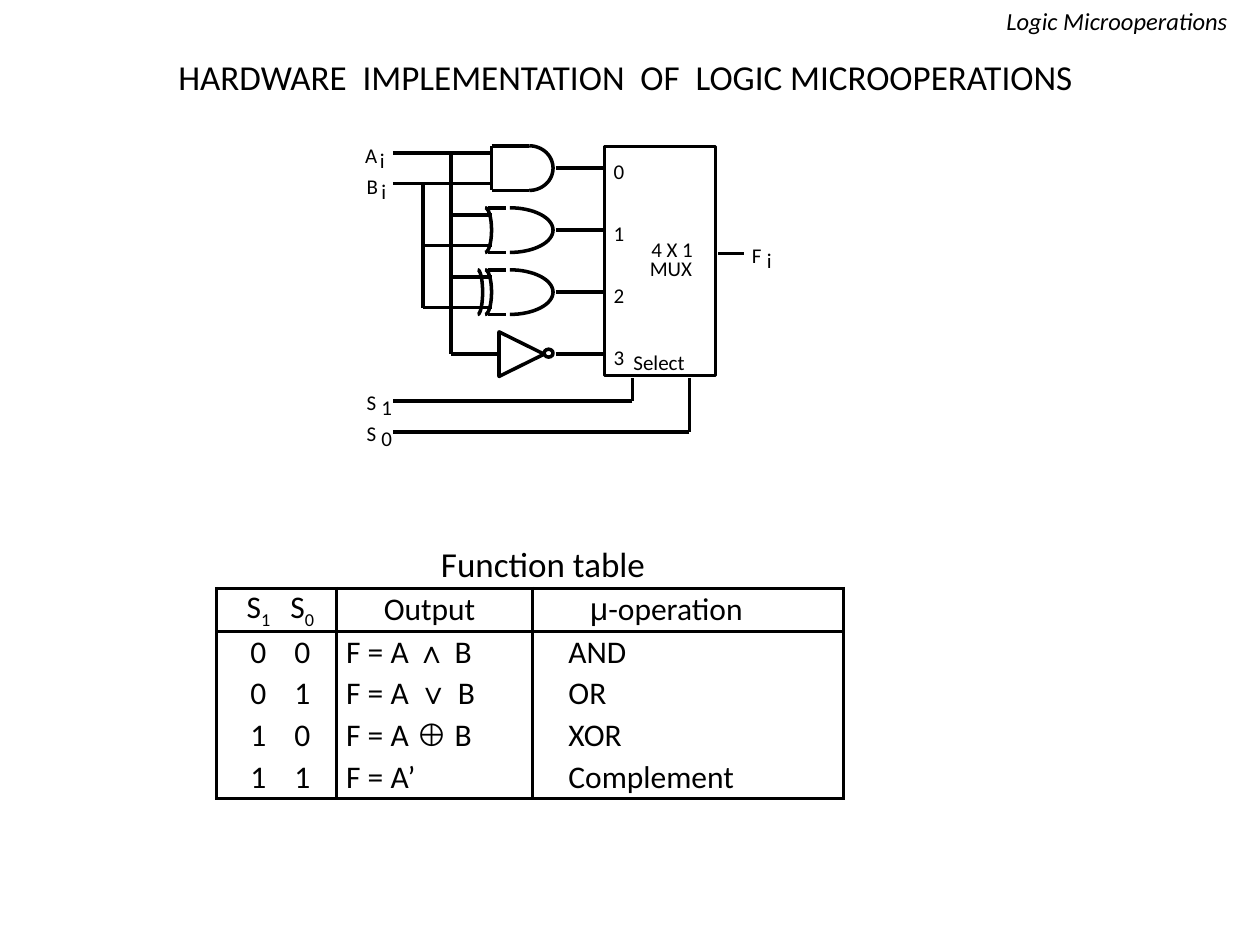
import math

import pptx
import pptx.util
from lxml import etree
from pptx.dml.color import RGBColor
from pptx.enum.shapes import MSO_CONNECTOR, MSO_SHAPE
from pptx.enum.text import MSO_ANCHOR, PP_ALIGN
from pptx.oxml.ns import qn
from pptx.util import Cm, Pt

COLORS = {"ink": "000000"}
INK = RGBColor.from_string(COLORS["ink"])
FONT, SYMBOL_FONT = "Calibri", "Arial"
SYMBOLS = "∧∨⊕μ"
STROKE = Pt(2)
NO_GRID_STYLE = "{2D5ABB26-0587-4C30-8999-92F81FD0307C}"

GATE_PITCH = 1.25   # all lengths are in cm
INPUT_OFFSET = 0.31
HALF_GATE = 0.45
INPUT_X, B_BUS_X, A_BUS_X, GATE_X = 0.82, 1.43, 1.99, 2.81
GATE_TIP_X, MUX_X = 4.05, 5.09

FUNCTIONS = [
    (("S", "1"), ("S", "0"), ("Output",), ("μ", "-operation")),
    (("0",), ("0",), ("F = A ", "∧", " B"), ("AND",)),
    (("0",), ("1",), ("F = A", " ∨ ", "B"), ("OR",)),
    (("1",), ("0",), ("F = A ", "⊕", " B"), ("XOR",)),
    (("1",), ("1",), ("F = A’",), ("Complement",)),
]
# width, left margin, right margin, alignment of the body rows
COLUMNS = [
    (1.27, 0.41, 0, PP_ALIGN.CENTER),
    (1.14, 0, 0.23, PP_ALIGN.CENTER),
    (3.96, 0.2, 0.4, PP_ALIGN.LEFT),
    (6.27, 0.72, 1.6, PP_ALIGN.LEFT),
]


def style_paragraph(paragraph, size, align=PP_ALIGN.LEFT, italic=None):
    paragraph.alignment = align
    font = paragraph.font
    font.name, font.size, font.italic = FONT, Pt(size), italic
    font.color.rgb = INK


def add_text(slide, text, x, y, width, height, size, **style):
    frame = slide.shapes.add_textbox(Cm(x), Cm(y), Cm(width), Cm(height)).text_frame
    frame.word_wrap = False
    frame.text = text
    style_paragraph(frame.paragraphs[0], size, **style)


def outline(shape):
    shape.shadow.inherit = False
    shape.fill.background()
    shape.line.color.rgb = INK
    shape.line.width = STROKE


class Circuit:
    """Drawing tools whose positions are relative to the circuit's corner."""

    def __init__(self, slide, left, top):
        self.slide, self.left, self.top = slide, left, top

    def wire(self, x1, y1, x2, y2):
        wire = self.slide.shapes.add_connector(
            MSO_CONNECTOR.STRAIGHT,
            Cm(self.left + x1), Cm(self.top + y1),
            Cm(self.left + x2), Cm(self.top + y2))
        wire.line.color.rgb = INK
        wire.line.width = STROKE
        etree.SubElement(wire._element.spPr, qn("a:effectLst"))

    def label(self, text, x, y, width=0.76):
        add_text(self.slide, text, self.left + x, self.top + y, width, 0.71, 12)

    def box(self, preset, x, y, width, height):
        outline(self.slide.shapes.add_shape(
            preset, Cm(self.left + x), Cm(self.top + y), Cm(width), Cm(height)))

    def trace(self, points, close=False):
        points = [(Cm(self.left + x), Cm(self.top + y)) for x, y in points]
        builder = self.slide.shapes.build_freeform(*points[0])
        builder.add_line_segments(points[1:], close=close)
        outline(builder.convert_to_shape())

    def bow(self, x, y, depth, steps=32):
        """Right half of an ellipse centred on x, y."""
        angles = [math.pi * (step / steps - 0.5) for step in range(steps + 1)]
        self.trace([(x + depth * math.cos(a), y + HALF_GATE * math.sin(a))
                    for a in angles])

    def flat_edges(self, x1, x2, y):
        for edge in (y - HALF_GATE, y + HALF_GATE):
            self.wire(x1, edge, x2, edge)


def and_gate(circuit, y):
    circuit.wire(GATE_X, y - HALF_GATE, GATE_X, y + HALF_GATE)
    circuit.flat_edges(GATE_X, 3.57, y)
    circuit.bow(3.57, y, GATE_TIP_X - 3.57)


def or_gate(circuit, y):
    circuit.flat_edges(2.73, 3.11, y)
    circuit.bow(3.18, y, GATE_TIP_X - 3.18)
    circuit.bow(2.68, y, 0.13)


def xor_gate(circuit, y):
    or_gate(circuit, y)
    circuit.bow(2.53, y, 0.1)


def not_gate(circuit, y):
    circuit.trace([(2.96, y - HALF_GATE), (3.87, y), (2.96, y + HALF_GATE)], close=True)
    circuit.box(MSO_SHAPE.OVAL, 3.87, y - 0.1, 0.18, 0.16)


def draw_circuit(slide, left, top):
    circuit = Circuit(slide, left, top)
    gates = [and_gate, or_gate, xor_gate, not_gate]
    rows = [0.69 + number * GATE_PITCH for number in range(len(gates))]

    for number, (gate, y) in enumerate(zip(gates, rows)):
        gate(circuit, y)
        circuit.wire(GATE_TIP_X + 0.05, y, MUX_X, y)
        circuit.label(str(number), MUX_X - 0.07, y - 0.32)
        if gate is not_gate:
            circuit.wire(A_BUS_X, y, 2.96, y)
        else:
            starts = (INPUT_X, INPUT_X) if gate is and_gate else (A_BUS_X, B_BUS_X)
            circuit.wire(starts[0], y - INPUT_OFFSET, GATE_X, y - INPUT_OFFSET)
            circuit.wire(starts[1], y + INPUT_OFFSET, GATE_X, y + INPUT_OFFSET)
    circuit.wire(A_BUS_X, rows[0] - INPUT_OFFSET, A_BUS_X, rows[3])
    circuit.wire(B_BUS_X, rows[0] + INPUT_OFFSET, B_BUS_X, rows[2] + INPUT_OFFSET)

    circuit.box(MSO_SHAPE.RECTANGLE, MUX_X, 0.25, 2.24, 4.62)
    circuit.label("4 X 1", 5.78, 1.95, 1.5)
    circuit.label("MUX", 5.75, 2.33, 1.45)
    circuit.label("Select", 5.42, 4.23, 1.75)
    circuit.wire(7.38, 2.41, 7.89, 2.41)
    for x, y in ((5.65, 5.38), (6.8, 6.01)):
        circuit.wire(x, 4.92, x, y)
        circuit.wire(x, y, INPUT_X, y)

    for signal, index, x, y in (("A", "i", 0.01, 0.04), ("B", "i", 0.04, 0.68),
                                ("S", "1", 0.04, 5.03), ("S", "0", 0.04, 5.66),
                                ("F", "i", 7.81, 2.06)):
        circuit.label(signal, x, y)
        circuit.label(index, x + 0.3, y + 0.1)


def add_border(cell, side, drawn):
    border = etree.SubElement(cell._tc.get_or_add_tcPr(), qn("a:" + side),
                              w=str(STROKE if drawn else 0))
    if drawn:
        fill = etree.SubElement(border, qn("a:solidFill"))
        etree.SubElement(fill, qn("a:srgbClr"), val=COLORS["ink"])
    else:
        etree.SubElement(border, qn("a:noFill"))


def fill_cell(cell, parts, align):
    paragraph = cell.text_frame.paragraphs[0]
    style_paragraph(paragraph, 18, align)
    for part in parts:
        run = paragraph.add_run()
        run.text = part
        run.font.size = Pt(18)
        run.font.color.rgb = INK
        run.font.name = SYMBOL_FONT if part.strip() in SYMBOLS else FONT
    if parts[0] == "S":
        run._r.get_or_add_rPr().set("baseline", "-25000")


def draw_function_table(slide, left, top):
    add_text(slide, "Function table", left + 4.27, top - 1.04, 5.6, 0.97, 20)
    width = sum(column[0] for column in COLUMNS)
    table = slide.shapes.add_table(len(FUNCTIONS), len(COLUMNS), Cm(left), Cm(top),
                                   Cm(width), Cm(4.23)).table
    table.first_row = table.horz_banding = False
    table._tbl.tblPr.find(qn("a:tableStyleId")).text = NO_GRID_STYLE
    last = len(FUNCTIONS) - 1
    for r, row in enumerate(FUNCTIONS):
        table.rows[r].height = Cm(0.84 if r else 0.87)
        for c, (column_width, margin_left, margin_right, align) in enumerate(COLUMNS):
            table.columns[c].width = Cm(column_width)
            cell = table.cell(r, c)
            cell.margin_left, cell.margin_right = Cm(margin_left), Cm(margin_right)
            cell.margin_top = cell.margin_bottom = 0
            cell.vertical_anchor = MSO_ANCHOR.MIDDLE
            for side, drawn in (("lnL", c != 1), ("lnR", c != 0),
                                ("lnT", r < 2), ("lnB", r in (0, last))):
                add_border(cell, side, drawn)
            cell.fill.background()
            fill_cell(cell, row[c], align if r else PP_ALIGN.CENTER)


def draw_headings(slide):
    title = slide.shapes.title
    title.left, title.top, title.width, title.height = Cm(0.41), Cm(1.04), Cm(24.41), Cm(0.91)
    frame = title.text_frame
    frame.text = "HARDWARE  IMPLEMENTATION  OF  LOGIC MICROOPERATIONS"
    frame.vertical_anchor = MSO_ANCHOR.TOP
    frame.margin_top = frame.margin_bottom = Cm(0.08)
    style_paragraph(frame.paragraphs[0], 20, PP_ALIGN.CENTER)
    add_text(slide, "Logic Microoperations", 19.23, 0, 5.77, 0.79, 14,
             align=PP_ALIGN.RIGHT, italic=True)


def main():
    deck = pptx.Presentation()
    deck.slide_width, deck.slide_height = Cm(25.4), Cm(19.05)
    slide = deck.slides.add_slide(deck.slide_layouts[5])
    draw_headings(slide)
    draw_circuit(slide, 7.1, 2.7)
    draw_function_table(slide, 4.37, 11.86)
    deck.save("out.pptx")


if __name__ == "__main__":
    main()
